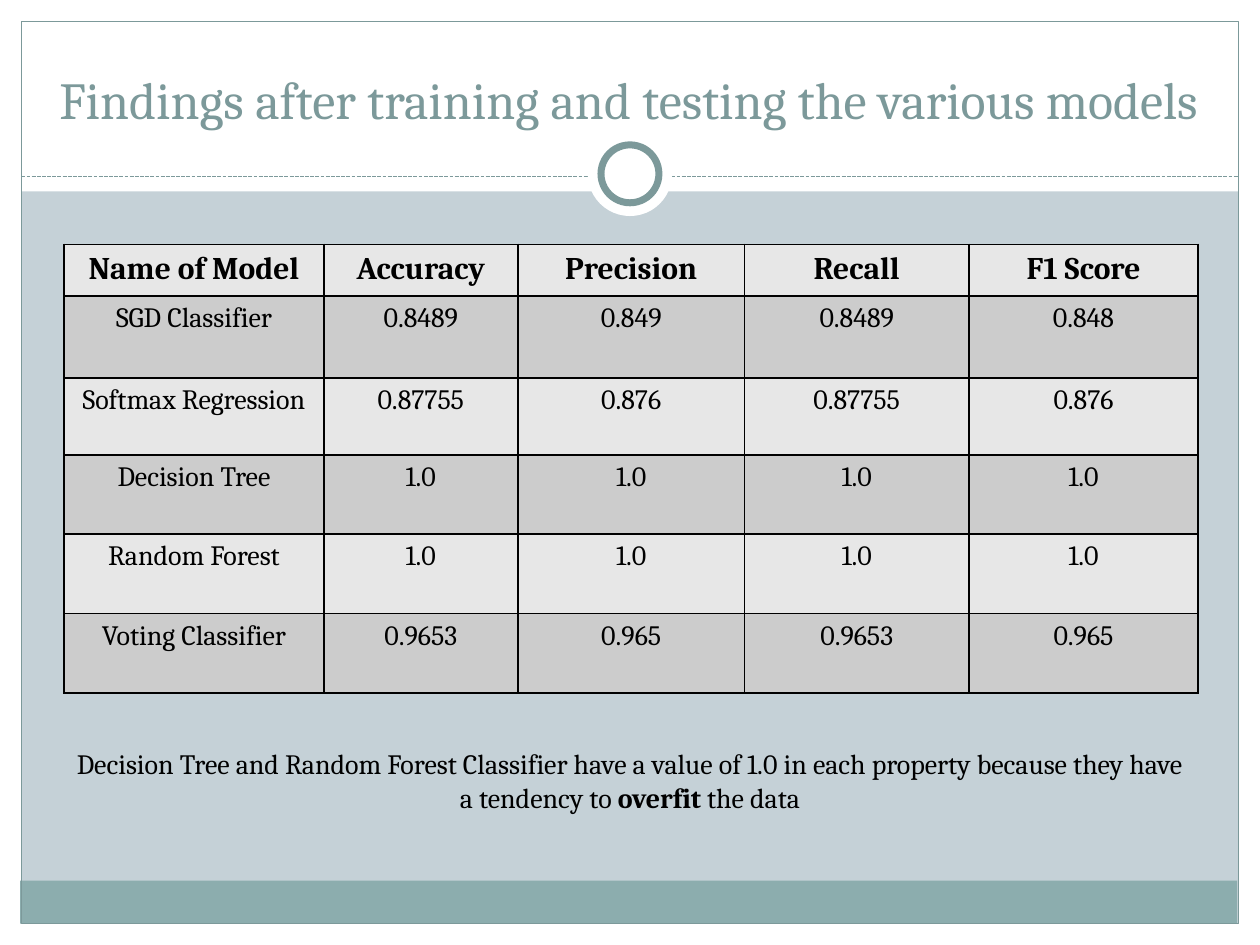
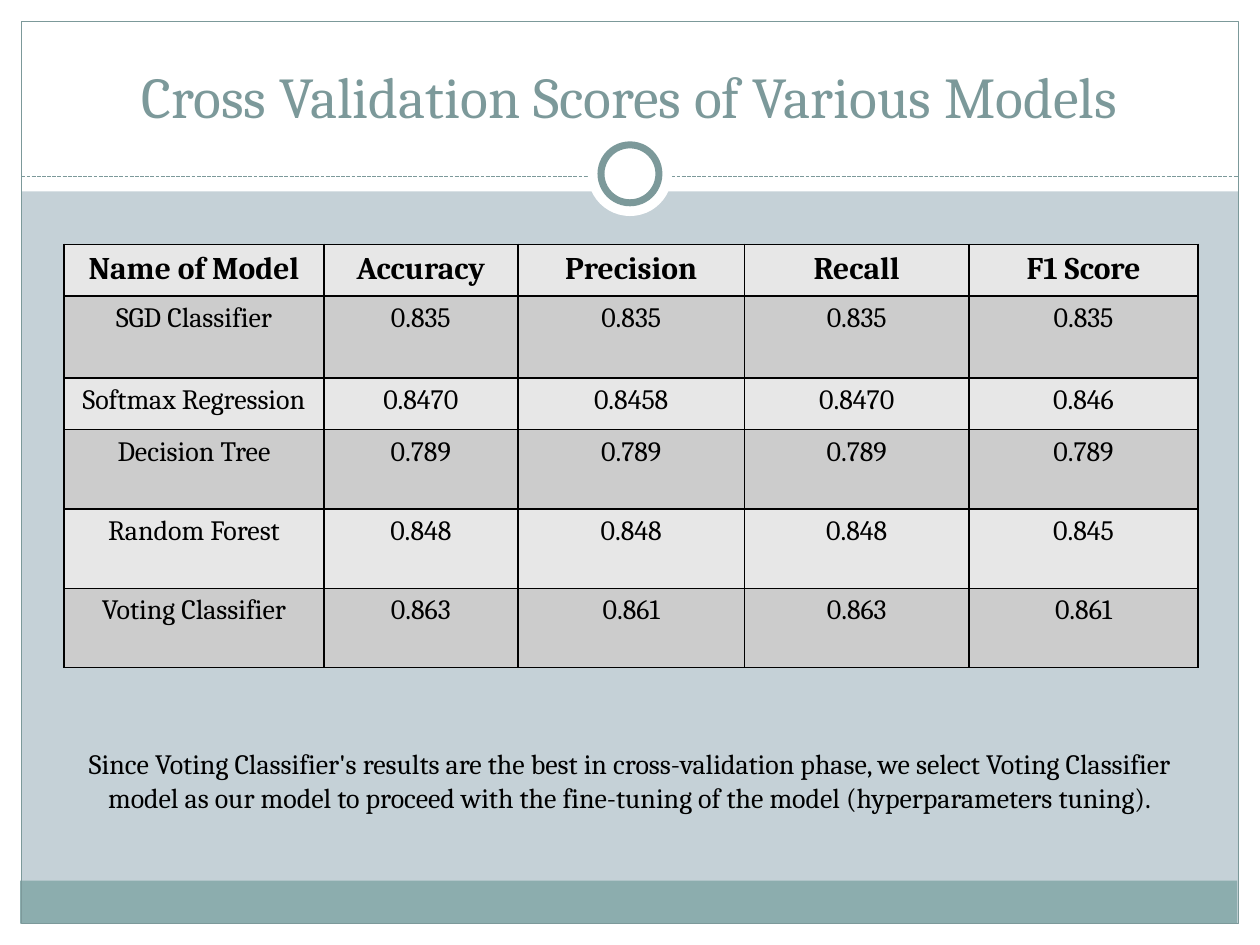
from dataclasses import dataclass
from typing import Optional

from lxml.etree import SubElement
from pptx import Presentation
from pptx.dml.color import RGBColor
from pptx.enum.dml import MSO_LINE
from pptx.enum.shapes import MSO_CONNECTOR, MSO_SHAPE
from pptx.enum.text import MSO_ANCHOR, MSO_AUTO_SIZE, PP_ALIGN
from pptx.oxml.ns import qn
from pptx.util import Inches, Pt

HUES = {
    "back": "C5D1D7", "white": "FFFFFF", "band": "8CADAE", "edge": "7C999A",
    "text": "000000", "light": "E7E7E7", "dark": "CCCCCC",
}
FONT = "Cambria"
WIDE, HIGH, RIM = 10, 7.5, 0.17
HEADS = ("Name of Model", "Accuracy", "Precision", "Recall", "F1 Score")
MODELS = ("SGD Classifier", "Softmax Regression", "Decision Tree",
          "Random Forest", "Voting Classifier")
COLS = (2.06, 1.54, 1.8, 1.78, 1.82)


@dataclass(frozen=True)
class Part:
    left: float
    top: float
    width: float
    height: float
    fill: Optional[str] = "white"
    line: float = 0
    kind: MSO_SHAPE = MSO_SHAPE.RECTANGLE


@dataclass(frozen=True)
class Span:
    text: str
    size: float = 16
    bold: bool = False
    hue: str = "text"


@dataclass(frozen=True)
class Page:
    title: Span
    scores: tuple[tuple[str, ...], ...]
    rows: tuple[float, ...]
    note: tuple[Span, ...]


def ring(size: float, fill: str, line: float = 0) -> Part:
    return Part(WIDE / 2 - size / 2, 1.38 - size / 2, size, size, fill, line, MSO_SHAPE.OVAL)


BANDS = (
    Part(0, HIGH - RIM, WIDE, RIM),
    Part(0, 0, WIDE, 1.52),
    Part(0, 0, RIM, HIGH),
    Part(WIDE - RIM, 0, RIM, HIGH),
    Part(0.16, 6.99, 9.66, 0.34, "band"),
    Part(RIM, RIM, WIDE - 2 * RIM, HIGH - 2 * RIM, None, 0.75),
)
RINGS = (ring(0.67, "white"), ring(0.46, "white", 4))

PAGES = (
    Page(
        Span("Findings after training and testing the various models", 29.7, hue="edge"),
        (
            ("0.8489", "0.849", "0.8489", "0.848"),
            ("0.87755", "0.876", "0.87755", "0.876"),
            ("1.0",) * 4,
            ("1.0",) * 4,
            ("0.9653", "0.965", "0.9653", "0.965"),
        ),
        (0.41, 0.65, 0.61, 0.63, 0.63, 0.63),
        (
            Span("Decision Tree and Random Forest Classifier have a value of 1.0 "
                 "in each property because they have a tendency to "),
            Span("overfit", bold=True),
            Span(" the data"),
        ),
    ),
    Page(
        Span("Cross Validation Scores of Various Models", 33, hue="edge"),
        (
            ("0.835",) * 4,
            ("0.8470", "0.8458", "0.8470", "0.846"),
            ("0.789",) * 4,
            ("0.848", "0.848", "0.848", "0.845"),
            ("0.863", "0.861", "0.863", "0.861"),
        ),
        (0.41, 0.65, 0.41, 0.63, 0.63, 0.63),
        (
            Span("Since Voting Classifier's results are the best in cross-validation "
                 "phase, we select Voting Classifier model as our model to proceed "
                 "with the fine-tuning of the model (hyperparameters tuning)."),
        ),
    ),
)


def tint(name: str) -> RGBColor:
    return RGBColor.from_string(HUES[name])


def write(frame, *spans: Span) -> None:
    para = frame.paragraphs[0]
    para.alignment = PP_ALIGN.CENTER
    for span in spans:
        run = para.add_run()
        run.text = span.text
        run.font.name = FONT
        run.font.size = Pt(span.size)
        run.font.bold = span.bold
        run.font.color.rgb = tint(span.hue)


def place(shape, left: float, top: float, width: float, height: float) -> None:
    shape.left, shape.top = Inches(left), Inches(top)
    shape.width, shape.height = Inches(width), Inches(height)


def draw(slide, part: Part) -> None:
    shape = slide.shapes.add_shape(
        part.kind, Inches(part.left), Inches(part.top),
        Inches(part.width), Inches(part.height))
    shape.shadow.inherit = False
    if part.fill:
        shape.fill.solid()
        shape.fill.fore_color.rgb = tint(part.fill)
    else:
        shape.fill.background()
    if part.line:
        shape.line.color.rgb = tint("edge")
        shape.line.width = Pt(part.line)
    else:
        shape.line.fill.background()


def rule(slide) -> None:
    line = slide.shapes.add_connector(
        MSO_CONNECTOR.STRAIGHT, Inches(RIM), Inches(1.4), Inches(WIDE - RIM), Inches(1.4))
    line.line.color.rgb = tint("edge")
    line.line.width = Pt(0.75)
    line.line.dash_style = MSO_LINE.SQUARE_DOT
    SubElement(line.element.spPr, qn("a:effectLst"))


def dress(slide) -> None:
    for part in BANDS:
        draw(slide, part)
    rule(slide)
    for part in RINGS:
        draw(slide, part)


def head(slide, span: Span) -> None:
    title = slide.shapes.title
    title.element.getparent().append(title.element)
    place(title, 0.33, 0.25, 9.33, 0.83)
    frame = title.text_frame
    frame.auto_size = MSO_AUTO_SIZE.NONE
    frame.vertical_anchor = MSO_ANCHOR.BOTTOM
    write(frame, span)


def border(cell) -> None:
    props = cell._tc.get_or_add_tcPr()
    for side in ("lnL", "lnR", "lnT", "lnB"):
        line = SubElement(props, qn(f"a:{side}"), w=str(Pt(1)))
        fill = SubElement(line, qn("a:solidFill"))
        SubElement(fill, qn("a:srgbClr"), val=HUES["text"])


def grid(slide, page: Page) -> None:
    cells = (HEADS, *((name, *vals) for name, vals in zip(MODELS, page.scores)))
    table = slide.shapes.add_table(
        len(cells), len(HEADS), Inches(0.51), Inches(1.94),
        Inches(sum(COLS)), Inches(sum(page.rows))).table
    table.first_row = table.horz_banding = False
    for col, width in zip(table.columns, COLS):
        col.width = Inches(width)
    for row, height in zip(table.rows, page.rows):
        row.height = Inches(height)
    for r, texts in enumerate(cells):
        for c, text in enumerate(texts):
            cell = table.cell(r, c)
            border(cell)
            cell.fill.solid()
            cell.fill.fore_color.rgb = tint("dark" if r % 2 else "light")
            write(cell.text_frame, Span(text, 16 if r else 18, r == 0))


def note(slide, spans: tuple[Span, ...]) -> None:
    box = slide.shapes.add_textbox(Inches(0.51), Inches(5.88), Inches(8.98), Inches(0.64))
    box.text_frame.word_wrap = True
    write(box.text_frame, *spans)


def main() -> None:
    deck = Presentation()
    deck.slide_width, deck.slide_height = Inches(WIDE), Inches(HIGH)
    back = deck.slide_master.background.fill
    back.solid()
    back.fore_color.rgb = tint("back")
    for page in PAGES:
        slide = deck.slides.add_slide(deck.slide_layouts[5])
        dress(slide)
        head(slide, page.title)
        grid(slide, page)
        note(slide, page.note)
    deck.save("out.pptx")


if __name__ == "__main__":
    main()
